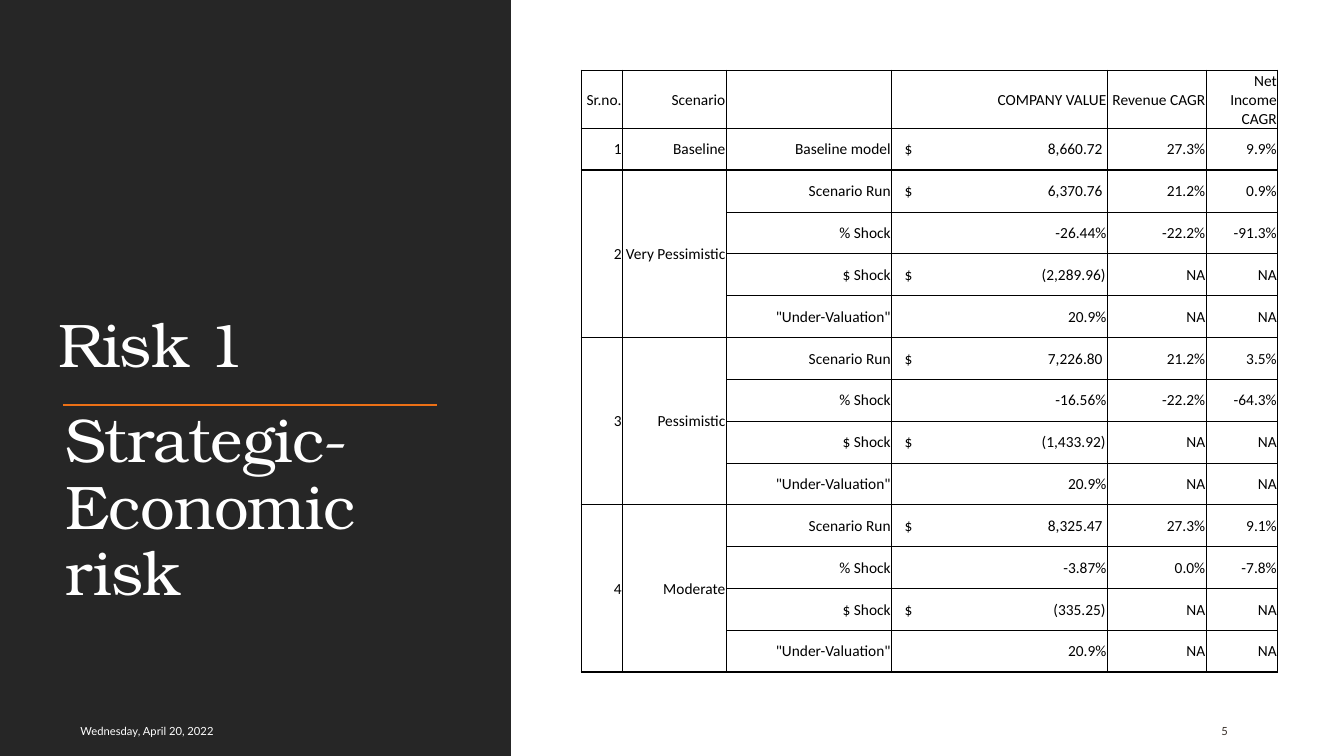
import dataclasses

import pptx
import pptx.dml.color
import pptx.enum.shapes
import pptx.enum.text
import pptx.oxml.ns
import pptx.util
from lxml import etree

Pt = pptx.util.Pt
ALIGN = pptx.enum.text.PP_ALIGN
ANCHOR = pptx.enum.text.MSO_ANCHOR
qn = pptx.oxml.ns.qn


@dataclasses.dataclass(frozen=True)
class Theme:
    """Colours, fonts and type sizes of the slide."""
    panel: str = "262626"
    accent: str = "EC7016"
    light: str = "FFFFFF"
    number: str = "39302A"
    ink: str = "000000"
    title_font: str = "TeX Gyre Bonum"
    small_font: str = "Lato"
    table_font: str = "Calibri"
    title_size: int = 44
    small_size: int = 8
    table_size: int = 11
    thick: float = 1
    thin: float = 0.5


T = Theme()
TITLE = {"name": T.title_font, "size": Pt(T.title_size)}
SMALL = {"name": T.small_font, "size": Pt(T.small_size)}
BODY = {"name": T.table_font, "size": Pt(T.table_size)}

HEADER = ["Sr.no.", "Scenario", "", "COMPANY VALUE", "Revenue CAGR", "Net Income CAGR"]
MEASURES = ["Scenario Run", "% Shock", "$ Shock", "\"Under-Valuation\""]
NA = ["NA", "NA"]
GROUPS = [
    ("Baseline", ["Baseline model"], [["$\t8,660.72", "27.3%", "9.9%"]]),
    ("Very Pessimistic", MEASURES, [
        ["$\t6,370.76", "21.2%", "0.9%"], ["-26.44%", "-22.2%", "-91.3%"],
        ["$\t(2,289.96)", *NA], ["20.9%", *NA]]),
    ("Pessimistic", MEASURES, [
        ["$\t7,226.80", "21.2%", "3.5%"], ["-16.56%", "-22.2%", "-64.3%"],
        ["$\t(1,433.92)", *NA], ["20.9%", *NA]]),
    ("Moderate", MEASURES, [
        ["$\t8,325.47", "27.3%", "9.1%"], ["-3.87%", "0.0%", "-7.8%"],
        ["$\t(335.25)", *NA], ["20.9%", *NA]]),
]
COLUMNS = [29.5, 74.2, 118.1, 154.1, 70.6, 51.1]
HEADER_HEIGHT, ROW_HEIGHT = 41.4, 29.9
DOLLAR_INDENT = 9.3


def rgb(value):
    """Return a colour object for a hex value."""
    return pptx.dml.color.RGBColor.from_string(value)


def put(obj, values):
    """Set each attribute named in values on obj."""
    for name, value in values.items():
        setattr(obj, name, value)


def write(p, text, font, color):
    """Add one formatted run to a paragraph."""
    r = p.add_run()
    r.text = text
    put(r.font, font)
    r.font.color.rgb = rgb(color)
    return r


def add_text(s, box, text, font, color, anchor):
    """Place a wrapping text box and return its paragraph and run."""
    tf = s.shapes.add_textbox(*map(Pt, box)).text_frame
    put(tf, {"word_wrap": True, "vertical_anchor": anchor})
    p = tf.paragraphs[0]
    return p, write(p, text, font, color)


def add_title(s, box, text, anchor):
    """Place a large tightly set title."""
    p, r = add_text(s, box, text, TITLE, T.light, anchor)
    p.line_spacing = 0.9
    r.font._element.set("spc", "-50")


def add_panel(s, box):
    """Draw the dark panel with its two titles, rule and date."""
    x, y, w, h = box
    sp = s.shapes.add_shape(pptx.enum.shapes.MSO_SHAPE.RECTANGLE, *map(Pt, box))
    sp.shadow.inherit = False
    sp.fill.solid()
    sp.fill.fore_color.rgb = rgb(T.panel)
    sp.line.fill.background()
    rule_y = y + 289
    add_title(s, (x + 34.6, y + 50.4, 288, 225.4), "Risk 1", ANCHOR.BOTTOM)
    line = s.shapes.add_connector(pptx.enum.shapes.MSO_CONNECTOR.STRAIGHT,
                                  *map(Pt, (x + 45, rule_y, x + 312, rule_y)))
    line.line.color.rgb = rgb(T.accent)
    line.line.width = Pt(1.5)
    etree.SubElement(line._element.spPr, qn("a:effectLst"))
    add_title(s, (x + 39.6, rule_y, 288, 225.4), "Strategic-Economic risk", ANCHOR.TOP)
    add_text(s, (x + 50.4, y + h - 32.4, 277, 28.8), "Wednesday, April 20, 2022",
             SMALL, T.light, ANCHOR.MIDDLE)


def set_borders(cell, widths):
    """Give a cell its side lines, leaving out sides without a width."""
    tc_pr = cell._tc.get_or_add_tcPr()
    for side, width in widths.items():
        ln = etree.SubElement(tc_pr, qn(f"a:ln{side}"), w=str(Pt(width or 0)))
        if width:
            fill = etree.SubElement(ln, qn("a:solidFill"))
            etree.SubElement(fill, qn("a:srgbClr"), val=T.ink)
        else:
            etree.SubElement(ln, qn("a:noFill"))


def fill_cell(cell, text, width):
    """Write right-aligned text, or a dollar sign with a tabbed amount."""
    put(cell, {"margin_left": Pt(0.7), "margin_right": Pt(0.7), "margin_top": Pt(0.7),
               "margin_bottom": 0, "vertical_anchor": ANCHOR.MIDDLE})
    p = cell.text_frame.paragraphs[0]
    p.alignment = ALIGN.RIGHT
    if "\t" in text:
        cell.margin_left = Pt(DOLLAR_INDENT)
        p.alignment = ALIGN.LEFT
        end = width - DOLLAR_INDENT - (1.2 if text.endswith(")") else 3.4)
        tabs = etree.SubElement(p._p.get_or_add_pPr(), qn("a:tabLst"))
        etree.SubElement(tabs, qn("a:tab"), pos=str(Pt(end)), algn="r")
    if text:
        write(p, text, BODY, T.ink)


def add_scenarios(s, box):
    """Build the scenario table with one merged block per scenario."""
    rows, starts = [HEADER], [0]
    for number, (scenario, measures, values) in enumerate(GROUPS, 1):
        starts.append(len(rows))
        for i, (measure, figures) in enumerate(zip(measures, values)):
            rows.append([*([str(number), scenario] if i == 0 else ["", ""]), measure, *figures])
    starts.append(len(rows))
    table = s.shapes.add_table(len(rows), len(COLUMNS), *map(Pt, box)).table
    put(table, {"first_row": False, "horz_banding": False})
    for column, width in zip(table.columns, COLUMNS):
        column.width = Pt(width)
    for r, row in enumerate(table.rows):
        row.height = Pt(ROW_HEIGHT if r else HEADER_HEIGHT)
    for top, after in zip(starts, starts[1:]):
        if after - top > 1:
            for c in range(2):
                table.cell(top, c).merge(table.cell(after - 1, c))
    for r, texts in enumerate(rows):
        for c, text in enumerate(texts):
            cell = table.cell(r, c)
            inner = T.thin if c > 1 else None
            closes = r + 1 in starts or cell.is_merge_origin
            set_borders(cell, {
                "L": T.thick if c == 0 else T.thin,
                "R": T.thick if c == len(COLUMNS) - 1 else T.thin,
                "T": T.thick if r in starts else inner,
                "B": T.thick if closes else inner})
            cell.fill.background()
            fill_cell(cell, text, COLUMNS[c])


def main():
    """Build the slide and save it."""
    prs = pptx.Presentation()
    put(prs, {"slide_width": Pt(960), "slide_height": Pt(540)})
    s = prs.slides.add_slide(prs.slide_layouts[6])
    add_panel(s, (0, 0, 365, 540))
    add_text(s, (865.4, 507.6, 61.2, 28.8), "5", SMALL, T.number, ANCHOR.MIDDLE)
    height = HEADER_HEIGHT + ROW_HEIGHT * sum(len(values) for _, _, values in GROUPS)
    add_scenarios(s, (415.2, 50.2, sum(COLUMNS), height))
    prs.save("out.pptx")


if __name__ == "__main__":
    main()
